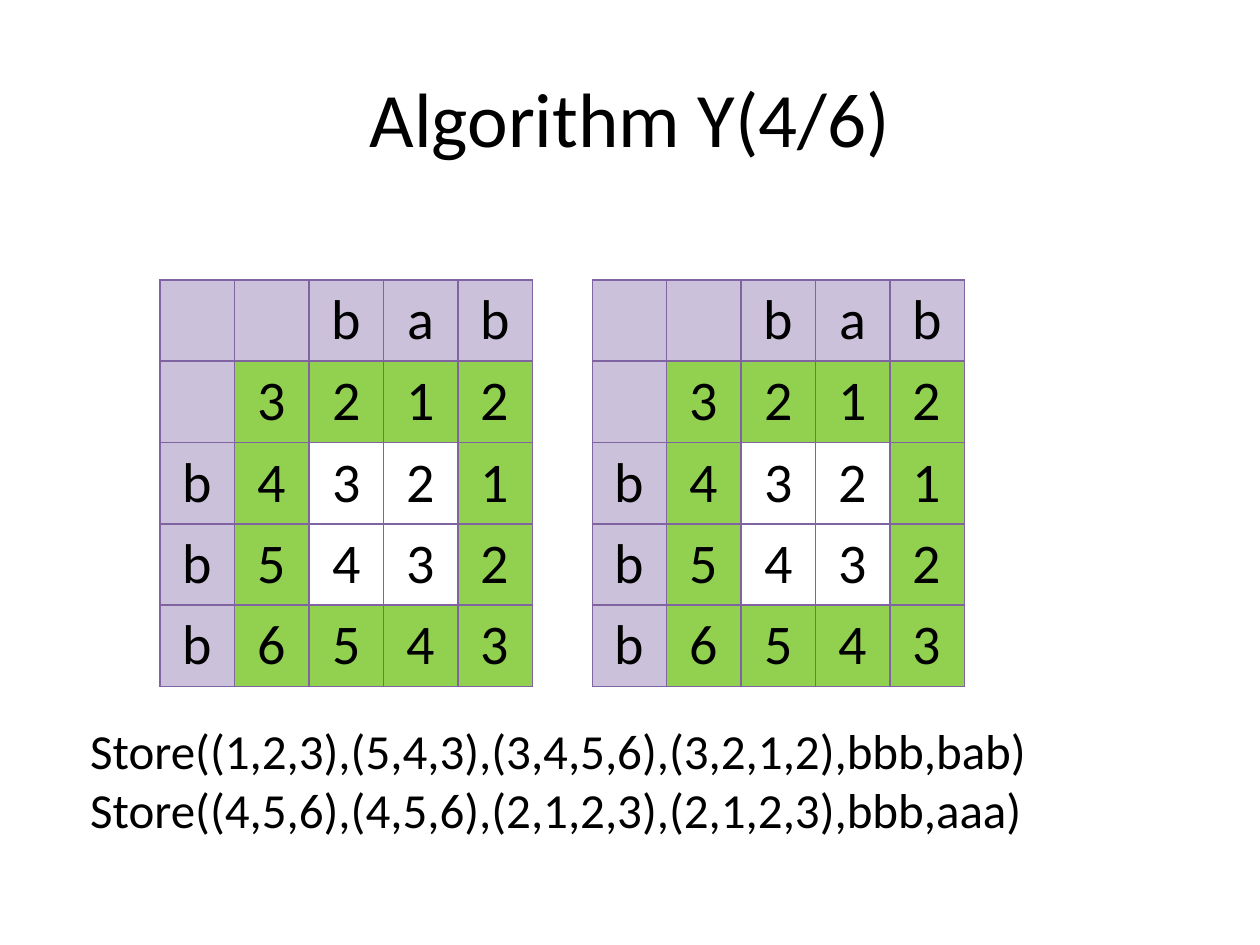
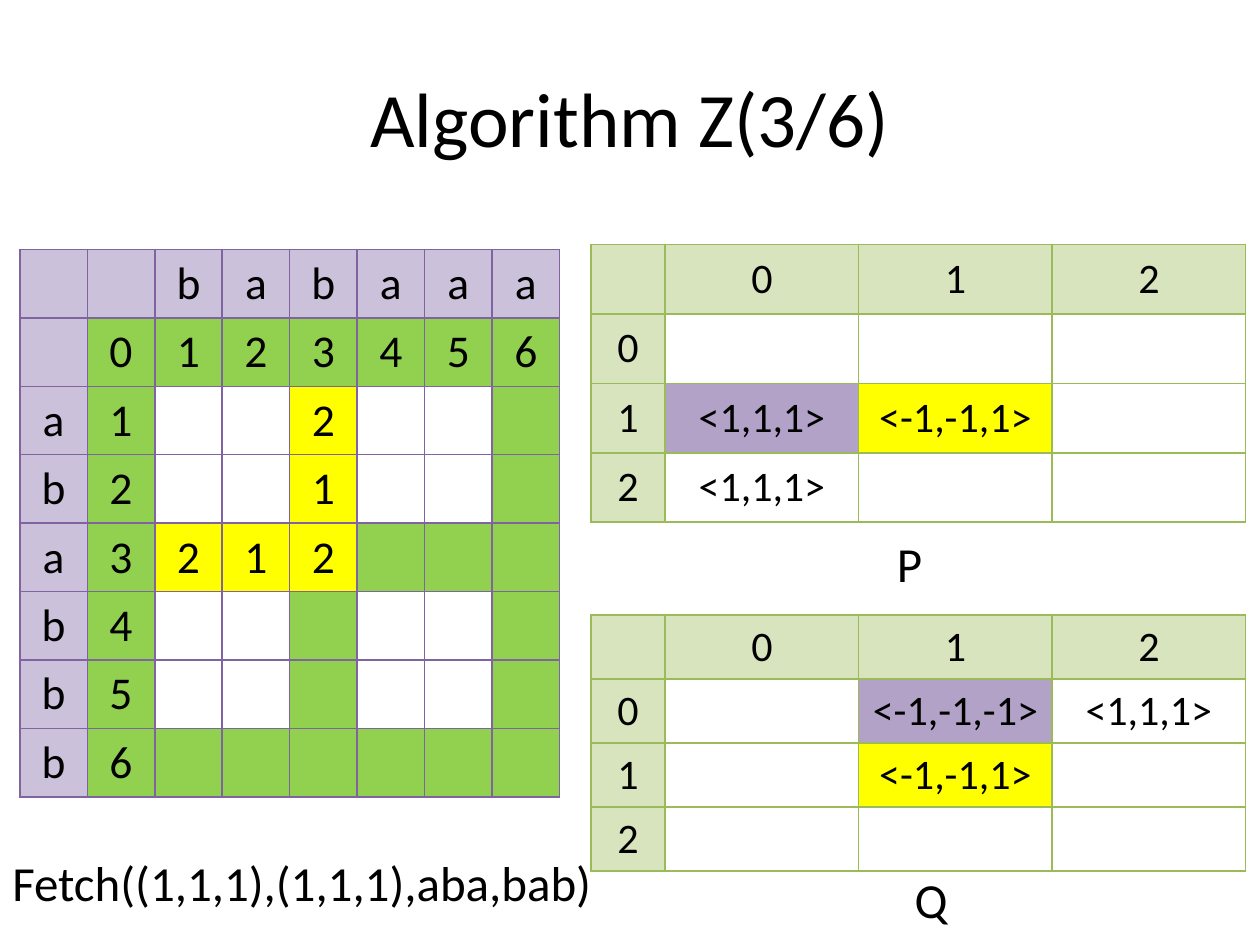
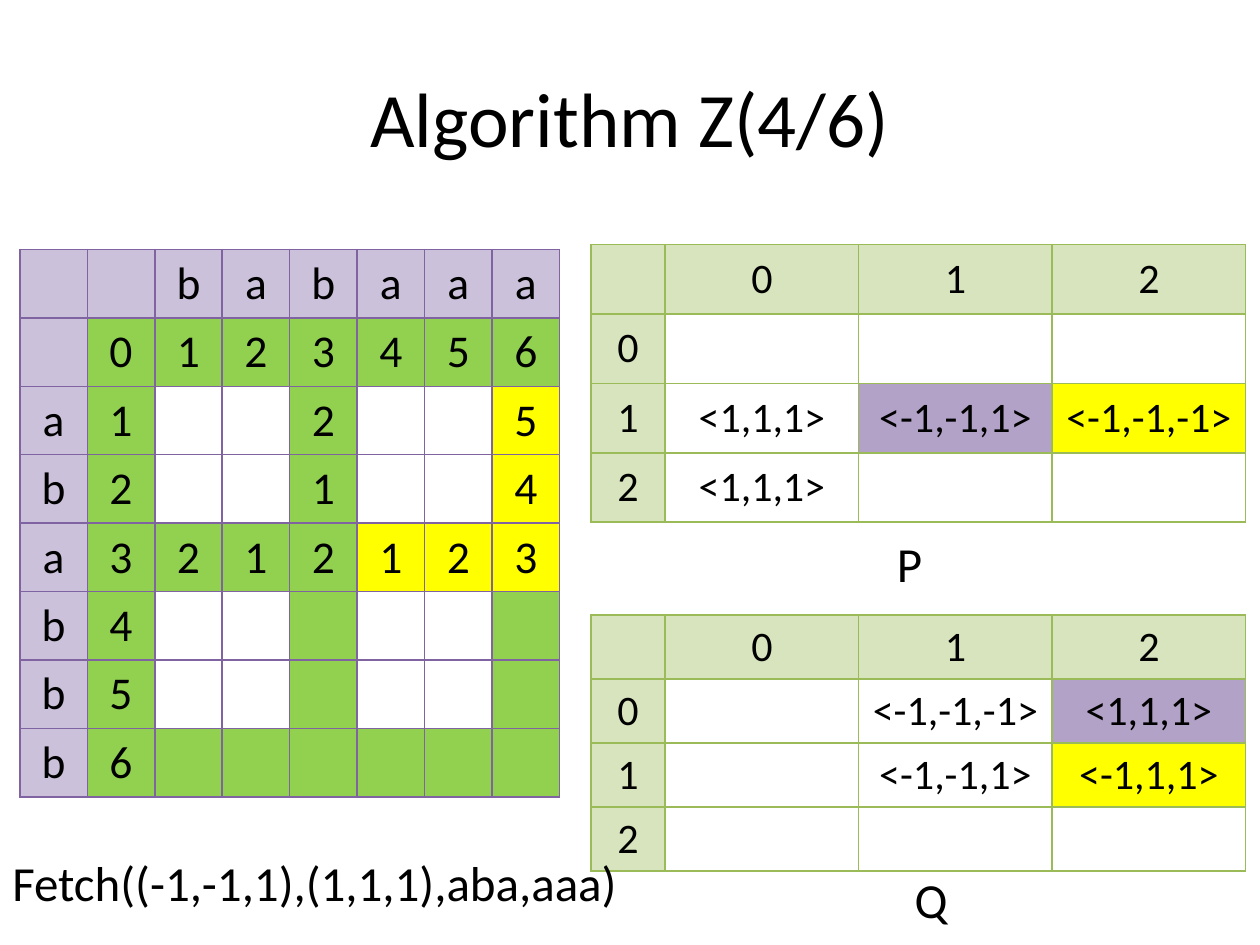
from lxml.etree import SubElement
from pptx import Presentation
from pptx.dml.color import RGBColor
from pptx.enum.text import MSO_ANCHOR as Anchor, MSO_AUTO_SIZE as AutoSize, PP_ALIGN as Align
from pptx.oxml.ns import qn
from pptx.util import Cm, Pt

FONT = "Calibri"
BLACK = RGBColor(0x00, 0x00, 0x00)
WHITE = RGBColor(0xFF, 0xFF, 0xFF)
LILAC = RGBColor(0xCC, 0xC1, 0xDA)
PURPLE = RGBColor(0x80, 0x64, 0xA2)
MAUVE = RGBColor(0xB3, 0xA2, 0xC7)
GREEN = RGBColor(0x92, 0xD0, 0x50)
PALE_GREEN = RGBColor(0xD7, 0xE4, 0xBD)
OLIVE = RGBColor(0x9B, 0xBB, 0x59)
YELLOW = RGBColor(0xFF, 0xFF, 0x00)


def add_grid(slide, left, top, widths, row_height, entries, fills, header_fill, border, size):
    """Draw a table; the first row and column are headers, fills colours other cells."""
    rows, columns = len(entries), len(widths)
    table = slide.shapes.add_table(rows, columns, Cm(left), Cm(top), Cm(sum(widths)),
                                   Cm(row_height * rows)).table
    table.first_row = table.horz_banding = False
    for column, width in zip(table.columns, widths):
        column.width = Cm(width)
    for r, row in enumerate(entries):
        table.rows[r].height = Cm(row_height)
        for c, entry in enumerate(row):
            cell = table.cell(r, c)
            cell.margin_left = cell.margin_right = Cm(0.1)
            cell.vertical_anchor = Anchor.MIDDLE
            # Cell borders
            for side in ("a:lnL", "a:lnR", "a:lnT", "a:lnB"):
                line = SubElement(cell._tc.get_or_add_tcPr(), qn(side), w=str(Pt(1)))
                line_fill = SubElement(line, qn("a:solidFill"))
                SubElement(line_fill, qn("a:srgbClr"), val=str(border))
            cell.fill.solid()
            is_header = r == 0 or c == 0
            cell.fill.fore_color.rgb = header_fill if is_header else fills.get((r, c), WHITE)
            if entry.strip():
                cell.text = entry
                paragraph = cell.text_frame.paragraphs[0]
                paragraph.alignment = Align.CENTER
                paragraph.font.name, paragraph.font.size = FONT, Pt(size)
                paragraph.font.color.rgb = BLACK


def add_label(slide, text, left, top, width, height=1.44, wrap=False):
    frame = slide.shapes.add_textbox(Cm(left), Cm(top), Cm(width), Cm(height)).text_frame
    frame.word_wrap = wrap
    frame.auto_size = AutoSize.SHAPE_TO_FIT_TEXT
    frame.text = text
    for paragraph in frame.paragraphs:
        paragraph.font.name, paragraph.font.size = FONT, Pt(28)
        paragraph.font.color.rgb = BLACK


prs = Presentation()
prs.slide_width, prs.slide_height = Cm(25.4), Cm(19.05)

# Titles
slides = []
for heading in ("Algorithm Y(4/6)", "Algorithm Z(3/6)", "Algorithm Z(4/6)"):
    slide = prs.slides.add_slide(prs.slide_layouts[5])
    title = slide.shapes.title
    title.left, title.top, title.width, title.height = Cm(1.27), Cm(0.76), Cm(22.86), Cm(3.18)
    title.text = heading
    paragraph = title.text_frame.paragraphs[0]
    paragraph.alignment = Align.CENTER
    paragraph.font.name, paragraph.font.size = FONT, Pt(44)
    paragraph.font.color.rgb = BLACK
    slides.append(slide)
store_slide, *fetch_slides = slides

# Blocks share an edge at every third row and column
edges = {(r, c): GREEN for r in range(1, 8) for c in range(1, 8) if r % 3 == 1 or c % 3 == 1}

# Algorithm Y: one block, stored twice
block = ["  bab", " 3212", "b4321", "b5432", "b6543"]
for left in (3.23, 11.94):
    add_grid(store_slide, left, 5.64, [1.5] * 5, 1.64, block, edges, LILAC, PURPLE, 32)
add_label(store_slide,
          "Store((1,2,3),(5,4,3),(3,4,5,6),(3,2,1,2),bbb,bab)\n"
          "Store((4,5,6),(4,5,6),(2,1,2,3),(2,1,2,3),bbb,aaa)",
          1.57, 14.4, 20.83, 3.84, wrap=True)

# Algorithm Z: each step reads one entry of P and Q and adds new values
distances = [list(row) for row in
             ["  babaaa", " 0123456", "a1      ", "b2      ", "a3      ",
              "b4      ", "b5      ", "b6      "]]
p_entries = [["", "0", "1", "2"], ["0", "", "", ""], ["1", "<1,1,1>", "", ""],
             ["2", "<1,1,1>", "", ""]]
q_entries = [["", "0", "1", "2"], ["0", "", "<-1,-1,-1>", "<1,1,1>"], ["1", "", "", ""],
             ["2", "", "", ""]]

steps = [
    # new distances, (P cell read, P cell added, value), the same for Q, call, call width
    ({(2, 4): "2", (3, 4): "1", (4, 2): "2", (4, 3): "1", (4, 4): "2"},
     ((2, 1), (2, 2), "<-1,-1,1>"), ((1, 2), (2, 2), "<-1,-1,1>"),
     "Fetch((1,1,1),(1,1,1),aba,bab)", 12.32),
    ({(2, 7): "5", (3, 7): "4", (4, 5): "1", (4, 6): "2", (4, 7): "3"},
     ((2, 2), (2, 3), "<-1,-1,-1>"), ((1, 3), (2, 3), "<-1,1,1>"),
     "Fetch((-1,-1,1),(1,1,1),aba,aaa)", 12.85),
]

for slide, (new_distances, p_step, q_step, call, call_width) in zip(fetch_slides, steps):
    # Distance grid
    for (r, c), distance in new_distances.items():
        distances[r][c] = distance
    grid_fills = edges | dict.fromkeys(new_distances, YELLOW)
    add_grid(slide, 0.4, 5.03, [1.36] * 8, 1.38, distances, grid_fills, LILAC, PURPLE, 26)

    # Lookup tables P and Q
    for entries, (read, added, value), top, row_height in (
            (p_entries, p_step, 4.93, 1.4), (q_entries, q_step, 12.4, 1.29)):
        entries[added[0]][added[1]] = value
        add_grid(slide, 11.91, top, [1.5] + [3.9] * 3, row_height, entries,
                 {read: MAUVE, added: YELLOW}, PALE_GREEN, OLIVE, 24)

    # Captions and call
    add_label(slide, "P", 17.83, 10.64, 1.04)
    add_label(slide, "Q", 18.19, 17.4, 1.19)
    add_label(slide, call, 0, 17.07, call_width)

prs.save("out.pptx")
